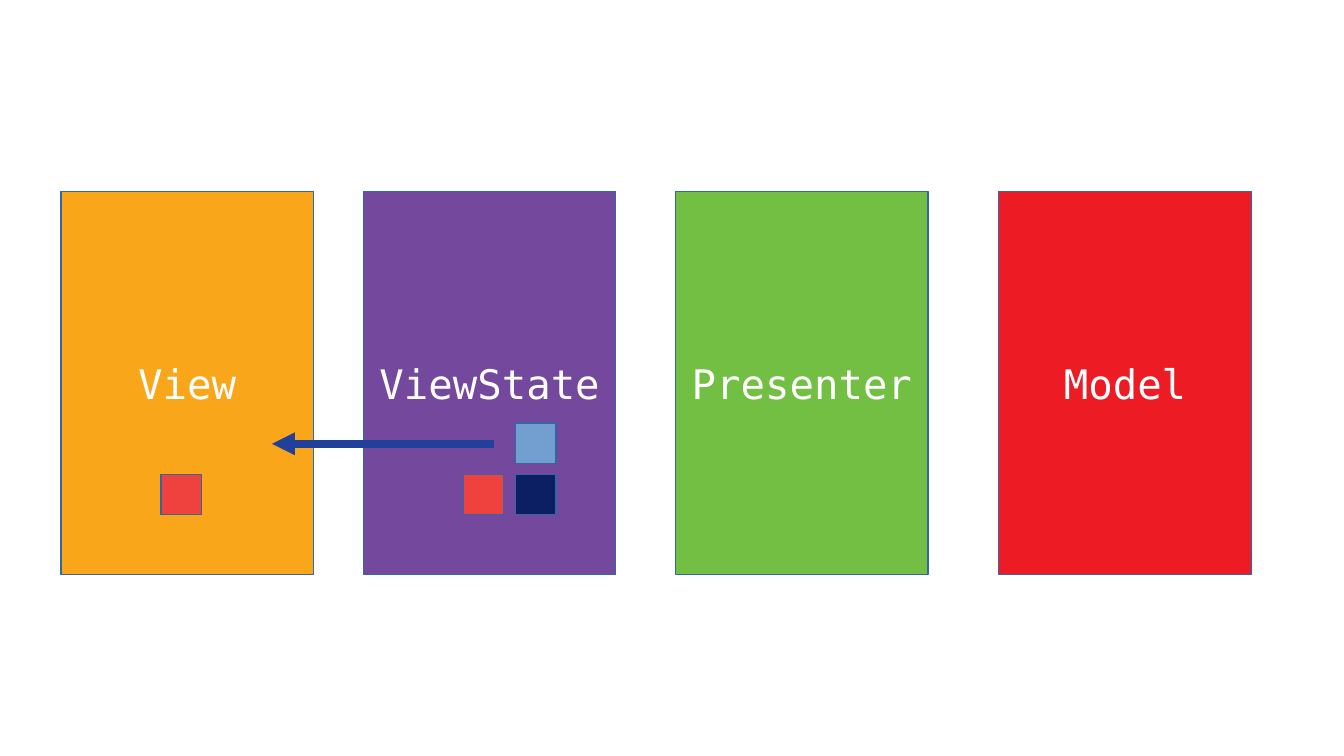
from dataclasses import dataclass

from lxml import etree
from pptx import Presentation
from pptx.dml.color import RGBColor
from pptx.enum.shapes import MSO_CONNECTOR, MSO_SHAPE
from pptx.enum.text import MSO_ANCHOR, PP_ALIGN
from pptx.oxml.ns import qn
from pptx.slide import Slide
from pptx.util import Inches, Pt

RECTANGLE = MSO_SHAPE.RECTANGLE
STRAIGHT = MSO_CONNECTOR.STRAIGHT
MIDDLE = MSO_ANCHOR.MIDDLE
CENTER = PP_ALIGN.CENTER
BLANK_LAYOUT = 6


@dataclass(frozen=True)
class Theme:
    font: str = "DejaVu Sans Mono"
    label_size: float = 24
    outline_width: float = 0.75
    arrow_width: float = 4.5
    label: str = "FFFFFF"
    outline: str = "3465A4"
    arrow: str = "21409A"
    view: str = "FAA61A"
    view_state: str = "74489D"
    presenter: str = "72BF44"
    model: str = "ED1C24"
    red_command: str = "EF413D"
    light_command: str = "729FCF"
    dark_command: str = "0D1F63"


@dataclass(frozen=True)
class Box:
    left: float
    top: float
    width: float
    height: float
    color: str
    label: str = ""


THEME = Theme()


def layer(left: float, color: str, label: str) -> Box:
    return Box(left, 1.57, 2.07, 3.14, color, label)


def command(left: float, top: float, color: str) -> Box:
    return Box(left, top, 0.33, 0.33, color)


UPPER_ROW, LOWER_ROW = 3.47, 3.89

LAYERS = [
    layer(0.5, THEME.view, "View"),
    layer(2.98, THEME.view_state, "ViewState"),
    layer(5.54, THEME.presenter, "Presenter"),
    layer(8.19, THEME.model, "Model"),
]
COMMANDS = [
    command(1.32, LOWER_ROW, THEME.red_command),
    command(3.8, LOWER_ROW, THEME.red_command),
    command(4.23, UPPER_ROW, THEME.light_command),
    command(4.23, LOWER_ROW, THEME.dark_command),
]


def draw_box(slide: Slide, box: Box) -> None:
    shape = slide.shapes.add_shape(
        RECTANGLE, Inches(box.left), Inches(box.top), Inches(box.width), Inches(box.height)
    )
    shape.shadow.inherit = False
    shape.fill.solid()
    shape.fill.fore_color.rgb = RGBColor.from_string(box.color)
    shape.line.color.rgb = RGBColor.from_string(THEME.outline)
    shape.line.width = Pt(THEME.outline_width)
    if box.label:
        frame = shape.text_frame
        frame.word_wrap = False
        frame.vertical_anchor = MIDDLE
        paragraph = frame.paragraphs[0]
        paragraph.text = box.label
        paragraph.alignment = CENTER
        paragraph.font.name = THEME.font
        paragraph.font.size = Pt(THEME.label_size)
        paragraph.font.color.rgb = RGBColor.from_string(THEME.label)


def draw_arrow(slide: Slide, start: float, end: float, y: float) -> None:
    arrow = slide.shapes.add_connector(STRAIGHT, Inches(start), Inches(y), Inches(end), Inches(y))
    arrow.line.color.rgb = RGBColor.from_string(THEME.arrow)
    arrow.line.width = Pt(THEME.arrow_width)
    etree.SubElement(arrow.line._get_or_add_ln(), qn("a:tailEnd"), type="triangle")
    etree.SubElement(arrow._element.spPr, qn("a:effectLst"))


def main() -> None:
    presentation = Presentation()
    presentation.slide_width = Inches(11.02)
    presentation.slide_height = Inches(6.2)
    slide = presentation.slides.add_slide(presentation.slide_layouts[BLANK_LAYOUT])

    # Layers of the pattern, then the commands queued inside them
    for box in LAYERS + COMMANDS:
        draw_box(slide, box)

    # Commands pass from the view state to the view
    draw_arrow(slide, start=4.05, end=2.23, y=3.64)

    presentation.save("out.pptx")


if __name__ == "__main__":
    main()
